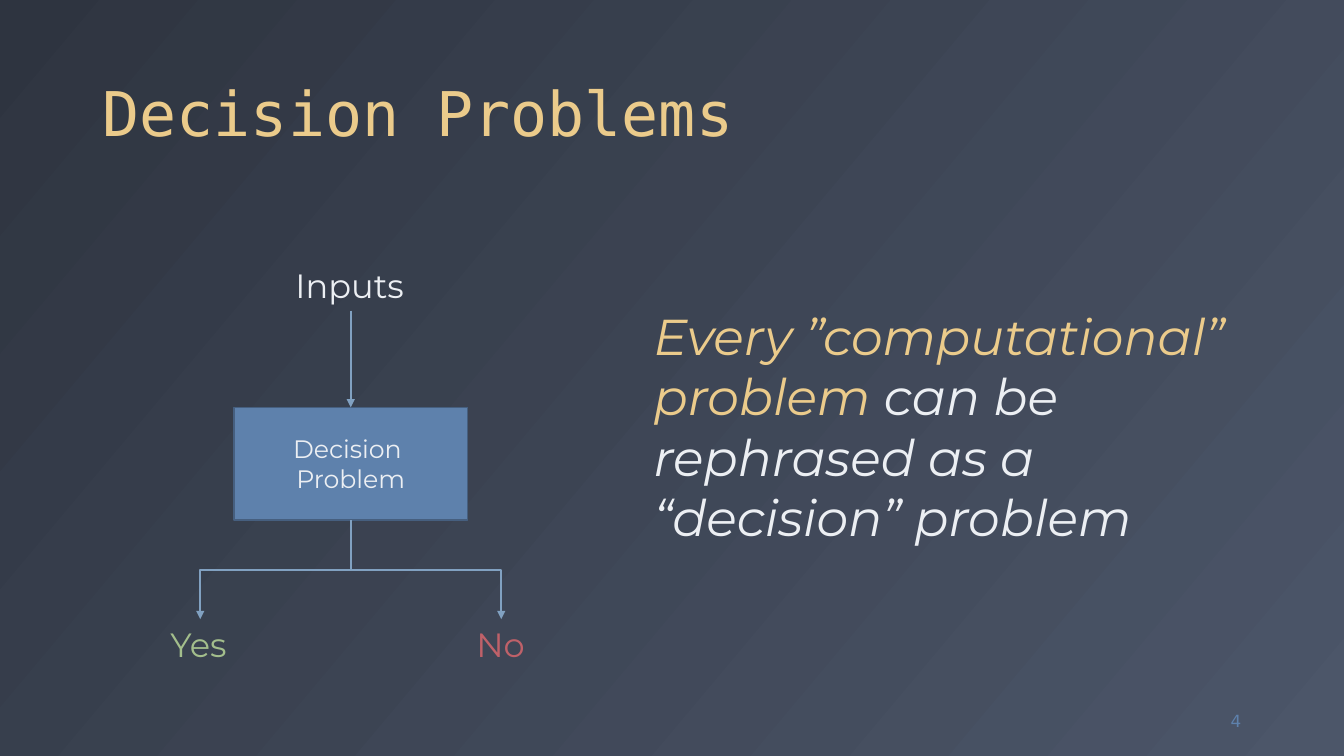
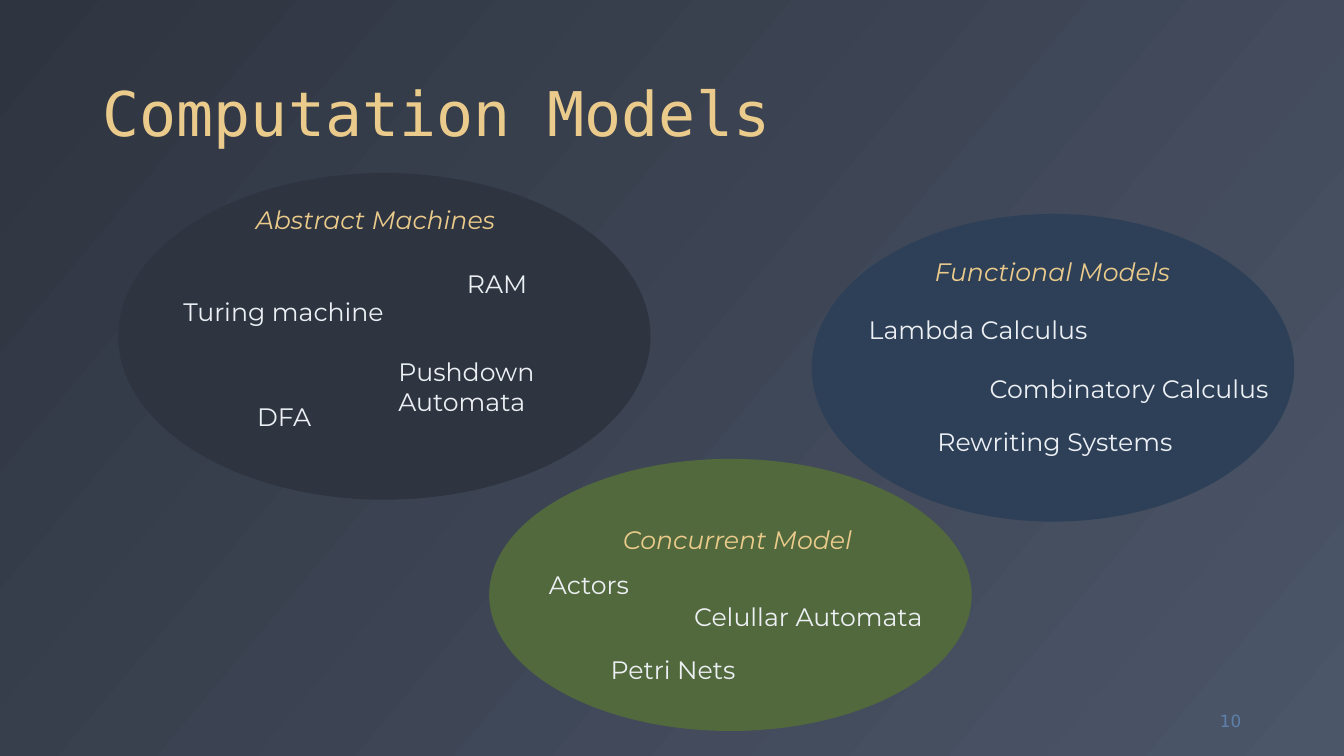
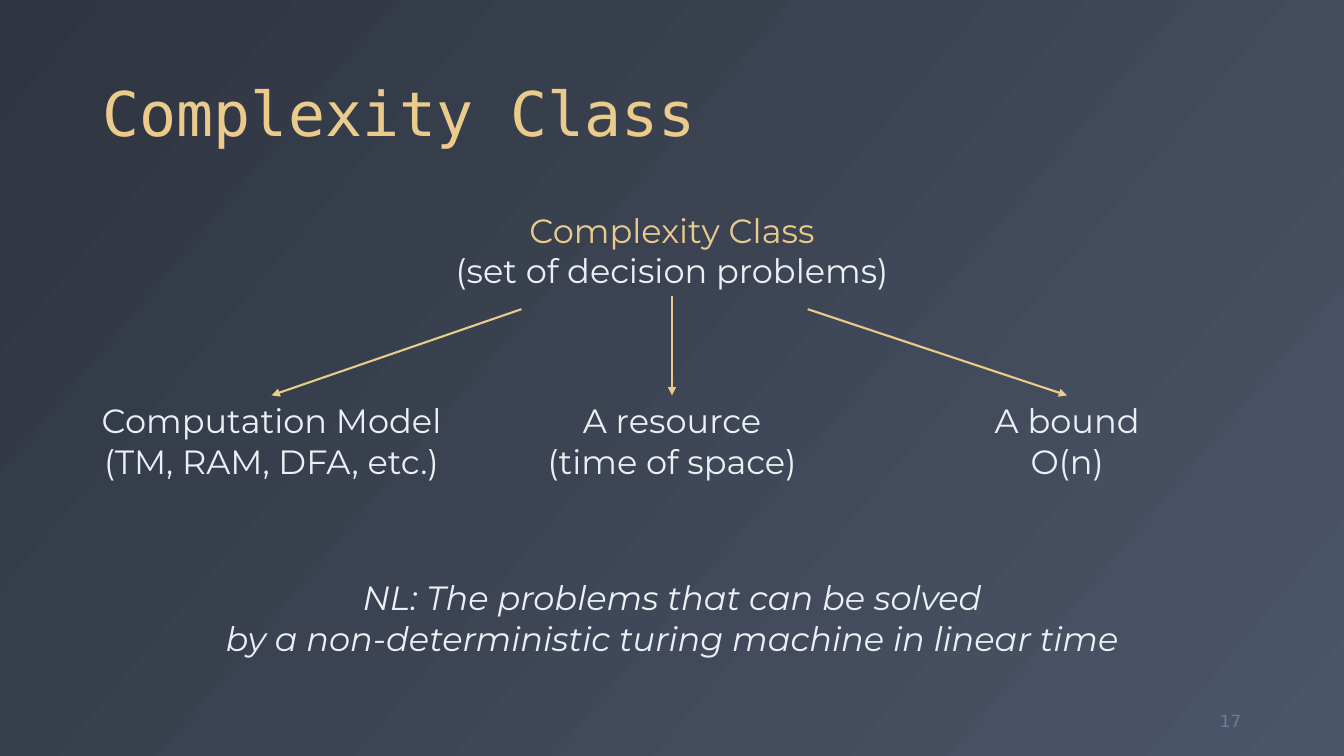
from lxml import etree
from pptx import Presentation
from pptx.dml.color import RGBColor
from pptx.enum.shapes import MSO_CONNECTOR, MSO_SHAPE
from pptx.enum.text import MSO_ANCHOR, MSO_AUTO_SIZE, PP_ALIGN
from pptx.oxml.ns import qn
from pptx.util import Inches, Pt

STRAIGHT, ELBOW = MSO_CONNECTOR.STRAIGHT, MSO_CONNECTOR.ELBOW
RECTANGLE, OVAL = MSO_SHAPE.RECTANGLE, MSO_SHAPE.OVAL
LEFT, CENTER, RIGHT = PP_ALIGN.LEFT, PP_ALIGN.CENTER, PP_ALIGN.RIGHT
TOP, MIDDLE, BOTTOM = MSO_ANCHOR.TOP, MSO_ANCHOR.MIDDLE, MSO_ANCHOR.BOTTOM
SIDE_TOP, SIDE_BOTTOM = 0, 2


class Theme:
    night = RGBColor.from_string("2E3440")
    slate = RGBColor.from_string("4C5669")
    gold = RGBColor.from_string("EBCB8B")
    snow = RGBColor.from_string("ECEFF3")
    blue = RGBColor.from_string("5E81AC")
    blue_edge = RGBColor.from_string("465F7F")
    frost = RGBColor.from_string("81A1C1")
    green = RGBColor.from_string("A3BE8C")
    red = RGBColor.from_string("BF6169")
    moss = RGBColor.from_string("51693C")
    navy = RGBColor.from_string("2D4058")
    title_font, body_font, number_font = "DejaVu Sans Mono", "Montserrat", "DejaVu Sans"
    title, quote, label, small, number = 44, 36, 24, 18, 12


# The grid has 100 columns and 100 rows
deck = Presentation()
deck.slide_width, deck.slide_height = Inches(13.33), Inches(7.5)
COLUMN, ROW = deck.slide_width / 100, deck.slide_height / 100


def write(page, text, left, top, width, height=None, size=Theme.label, color=Theme.snow,
          font=Theme.body_font, italic=False, align=LEFT, anchor=TOP, wrap=False, form=None):
    """Place text on the grid; without a height, the box fits its lines."""
    fits = height is None
    if fits:
        height = 1.35 + 0.222 * size * (text.count("\n") + 1)
    area = [int(v) for v in (left * COLUMN, top * ROW, width * COLUMN, height * ROW)]
    if form is None:
        box = page.shapes.add_textbox(*area)
    else:
        box = page.shapes.add_shape(form, *area)
        box.shadow.inherit = False
    frame = box.text_frame
    frame.text = text
    frame.word_wrap = wrap
    frame.vertical_anchor = anchor
    if fits:
        frame.auto_size = MSO_AUTO_SIZE.SHAPE_TO_FIT_TEXT
    for para in frame.paragraphs:
        para.alignment = align
        for span in para.runs:
            span.font.name, span.font.size = font, Pt(size)
            span.font.italic, span.font.color.rgb = italic, color
    return box


def arrow(page, kind, begin, end, color):
    """Draw a connector with a triangle at its end; points are in columns and rows."""
    line = page.shapes.add_connector(kind, int(begin[0] * COLUMN), int(begin[1] * ROW),
                                     int(end[0] * COLUMN), int(end[1] * ROW))
    line.line.color.rgb, line.line.width = color, Pt(1.5)
    etree.SubElement(line.line._get_or_add_ln(), qn("a:tailEnd"), type="triangle")
    etree.SubElement(line._element.spPr, qn("a:effectLst"))
    return line


# Shared background, titles and page numbers
backdrop = deck.slide_master.background.fill
backdrop.gradient()
backdrop.gradient_angle = 320
for stop, color in zip(backdrop.gradient_stops, (Theme.night, Theme.slate)):
    stop.color.rgb = color

pages = []
for title, number in (("Decision Problems", 4), ("Computation Models", 10),
                      ("Complexity Class", 17)):
    page = deck.slides.add_slide(deck.slide_layouts[6])
    pages.append(page)
    if title == "Computation Models":
        # Ovals lie behind the title
        for color, left, top, width, height in (
                (Theme.moss, 36.4, 60.7, 35.9, 36), (Theme.navy, 60.4, 28.3, 35.9, 40.7),
                (Theme.night, 8.8, 22.9, 39.6, 43.2)):
            oval = page.shapes.add_shape(OVAL, int(left * COLUMN), int(top * ROW),
                                         int(width * COLUMN), int(height * ROW))
            oval.shadow.inherit = False
            oval.fill.solid()
            oval.fill.fore_color.rgb = color
            oval.line.fill.background()
    heading = write(page, title, 6.9, 2.4, 86.2, 18.1, Theme.title, Theme.gold,
                    Theme.title_font, anchor=BOTTOM, wrap=True)
    heading.text_frame.paragraphs[0].line_spacing = 0.9
    write(page, str(number), 86.9, 92.7, 6.2, 5.3, Theme.number, Theme.blue,
          Theme.number_font, align=RIGHT, anchor=MIDDLE, wrap=True)
decision_page, models_page, class_page = pages

# Decision problems: flow from the inputs to yes or no
axis, spread = 26.1, 11.2
box_top, box_height, answer_top = 53.9, 14.9, 81.9
box_bottom = box_top + box_height
inputs = write(decision_page, "Inputs", axis - 4.85, 34.4, 9.7)
problem = write(decision_page, "Decision \nProblem", axis - 8.7, box_top, 17.4, box_height,
                Theme.small, align=CENTER, anchor=MIDDLE, wrap=True, form=RECTANGLE)
problem.fill.solid()
problem.fill.fore_color.rgb = Theme.blue
problem.line.color.rgb, problem.line.width = Theme.blue_edge, Pt(1)
feed = arrow(decision_page, STRAIGHT, (axis, 41.1), (axis, box_top), Theme.frost)
feed.begin_connect(inputs, SIDE_BOTTOM)
feed.end_connect(problem, SIDE_TOP)

# Elbows are laid out sideways, then turned to leave the box downwards
half_drop = (answer_top - box_bottom) * ROW / COLUMN / 2
half_run = spread * COLUMN / ROW / 2
middle = (box_bottom + answer_top) / 2
for side, answer, width, color in ((-1, "Yes", 5.9, Theme.green), (1, "No", 5.2, Theme.red)):
    write(decision_page, answer, axis + side * spread - width / 2, answer_top, width, color=color)
    center = axis + side * spread / 2
    branch = arrow(decision_page, ELBOW, (center + side * half_drop, middle - half_run),
                   (center - side * half_drop, middle + half_run), Theme.frost)
    branch._element.spPr.find(qn("a:xfrm")).set("rot", str((180 + 90 * side) * 60000))

quote = write(decision_page,
              "Every ”computational” problem \n“decision” problem",
              47.9, 39.7, 47, 33.6, Theme.quote, italic=True, wrap=True)
opening = quote.text_frame.paragraphs[0]
opening.runs[0].font.color.rgb = Theme.gold
span = opening.add_run()
span.text = "can be rephrased as a"
span.font.name, span.font.size = Theme.body_font, Pt(Theme.quote)
span.font.italic, span.font.color.rgb = True, Theme.snow

# Computation models: family names, then their members
for text, left, top, width in (("Abstract Machines", 18.3, 26.4, 19.5),
                               ("Functional Models", 68.8, 33.2, 19.2),
                               ("Concurrent Model", 45.6, 68.7, 18.8)):
    write(models_page, text, left, top, width, size=Theme.small, color=Theme.gold, italic=True)
for text, left, top, width in (
        ("Turing machine", 12.9, 38.5, 16.7), ("RAM", 34, 34.8, 6.1),
        ("DFA", 18.4, 52.4, 5.6), ("Pushdown\nAutomata", 28.9, 46.5, 12.2),
        ("Lambda Calculus", 63.9, 40.9, 18), ("Combinatory Calculus", 72.9, 48.7, 22.6),
        ("Rewriting Systems", 69, 55.7, 19.3), ("Celullar Automata", 50.9, 78.9, 18.8),
        ("Petri Nets", 44.7, 85.9, 11), ("Actors", 40.1, 74.7, 7.6)):
    write(models_page, text, left, top, width, size=Theme.small)

# Complexity class: one definition, three parts
definition = write(class_page, "Complexity Class\n(set of decision problems)", 33, 27.1, 34,
                   align=CENTER)
definition.text_frame.paragraphs[0].runs[0].font.color.rgb = Theme.gold
part_top = 52.3
for text, center, width, begin in (
        ("Computation Model\n(TM, RAM, DFA, etc.)", 20.2, 27.1, (38.8, 40.9)),
        ("A resource\n(time of space)", 50, 20.2, (50, 39.2)),
        ("A bound\nO(n)", 79.4, 12.4, (60.1, 40.9))):
    part = write(class_page, text, center - width / 2, part_top, width, align=CENTER)
    link = arrow(class_page, STRAIGHT, begin, (center, part_top), Theme.gold)
    link.end_connect(part, SIDE_TOP)
    if center == 50:
        link.begin_connect(definition, SIDE_BOTTOM)
write(class_page, "NL: The problems that can be solved\v"
      "by a non-deterministic turing machine in linear time",
      15.6, 75.7, 68.8, 12.1, italic=True, align=CENTER)

deck.save("out.pptx")
